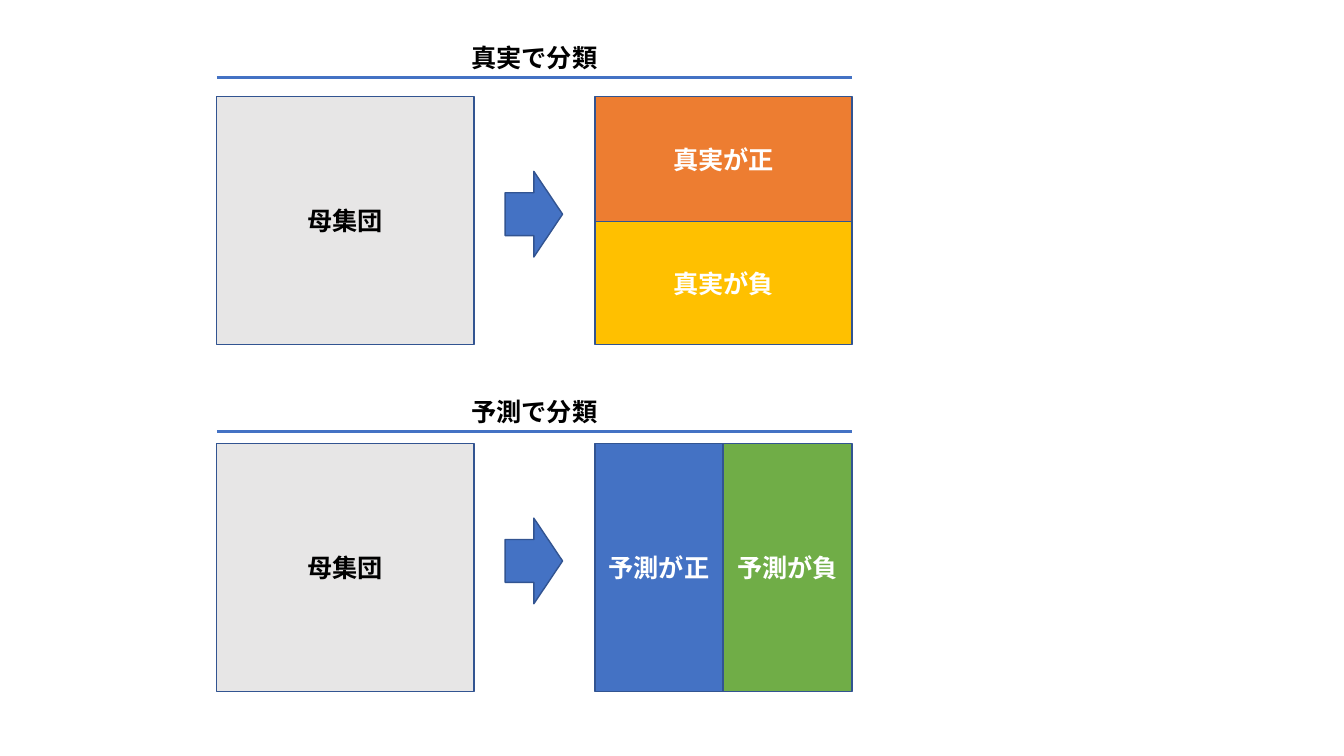
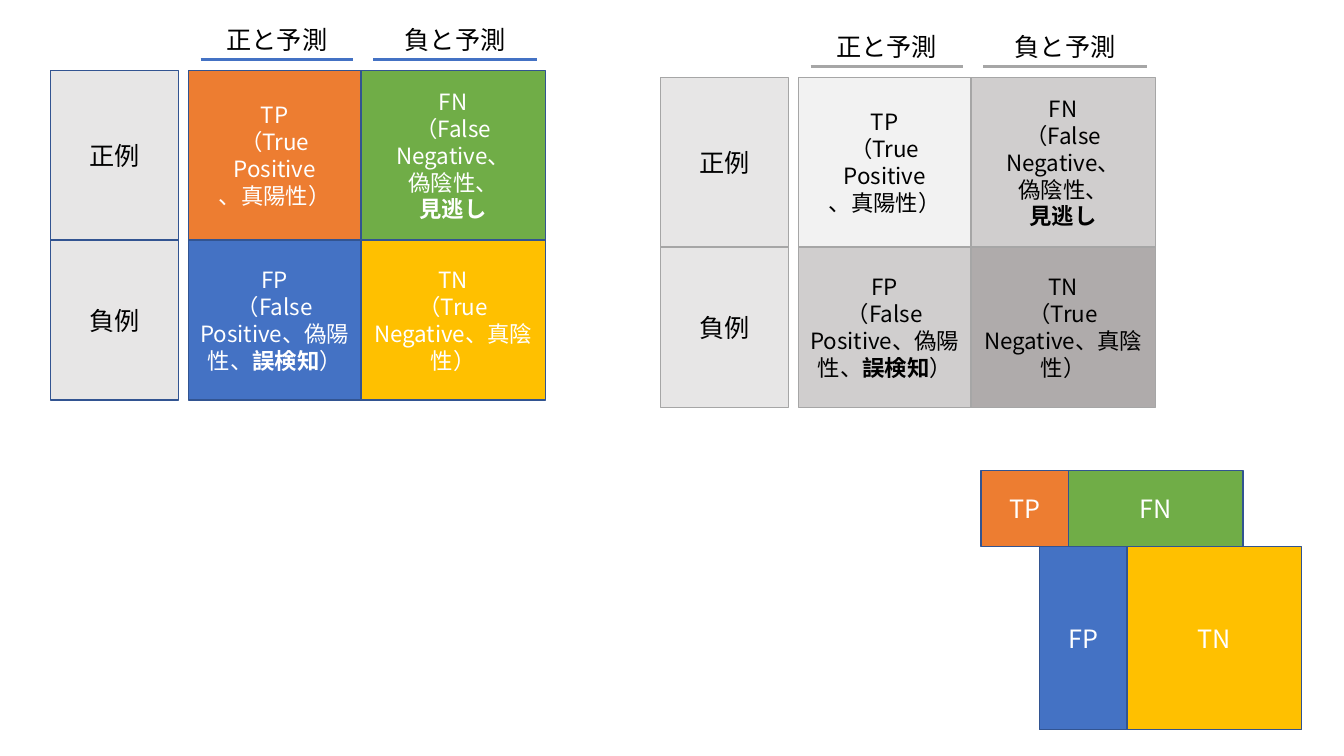
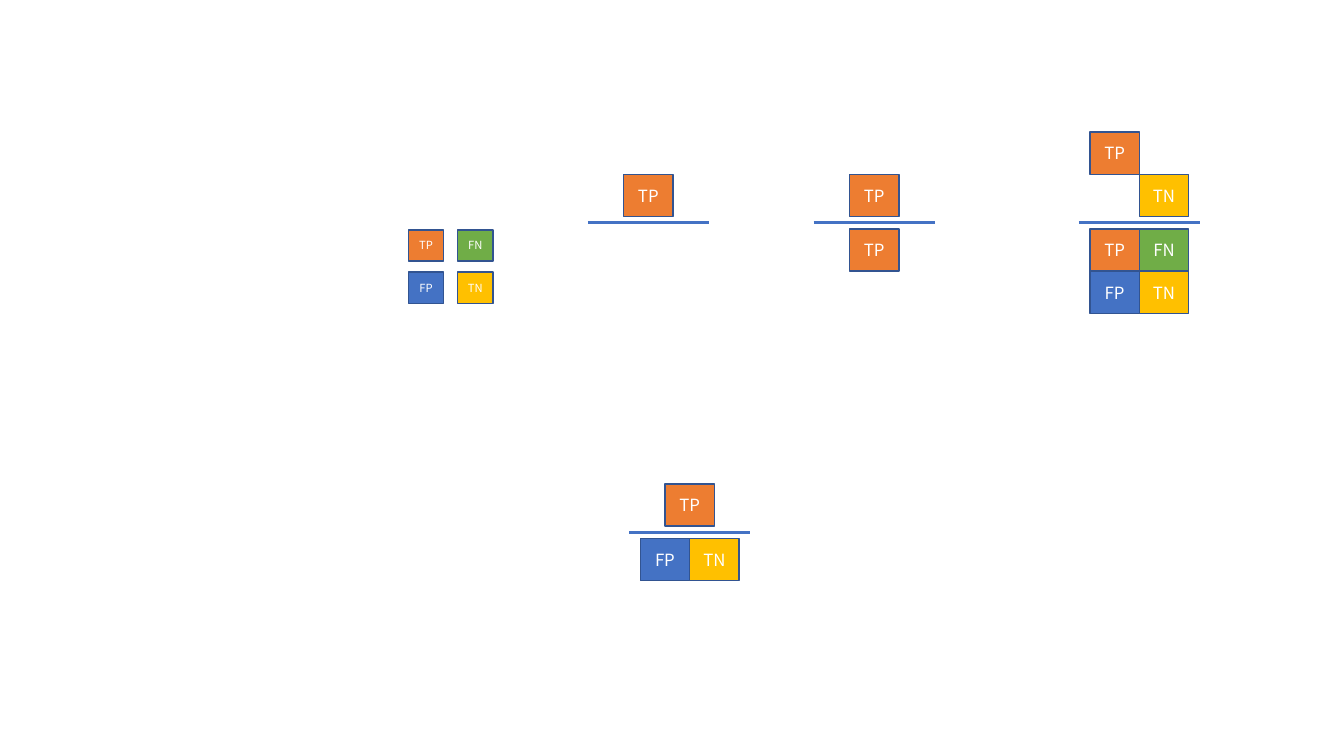
from pptx import Presentation
from pptx.dml.color import RGBColor
from pptx.enum import shapes, text
from pptx.oxml import ns, xmlchemy
from pptx.util import Inches, Pt

FONT = "Noto Sans CJK JP"
BLACK = RGBColor(0x00, 0x00, 0x00)
WHITE = RGBColor(0xFF, 0xFF, 0xFF)
ORANGE = RGBColor(0xED, 0x7D, 0x31)
YELLOW = RGBColor(0xFF, 0xC0, 0x00)
BLUE = RGBColor(0x44, 0x72, 0xC4)
GREEN = RGBColor(0x70, 0xAD, 0x47)
NAVY = RGBColor(0x32, 0x54, 0x91)
PALE = RGBColor(0xE7, 0xE6, 0xE6)
NEAR_WHITE = RGBColor(0xF2, 0xF2, 0xF2)
LIGHT_GRAY = RGBColor(0xD0, 0xCE, 0xCE)
DARK_GRAY = RGBColor(0xAF, 0xAB, 0xAB)
EDGE_GRAY = RGBColor(0xA6, 0xA6, 0xA6)

COLORED = {"TP": ORANGE, "FN": GREEN, "FP": BLUE, "TN": YELLOW}
GRAY = {"TP": NEAR_WHITE, "FN": LIGHT_GRAY, "FP": LIGHT_GRAY, "TN": DARK_GRAY}
OUTCOMES = [["TP", "FN"], ["FP", "TN"]]
MEANINGS = {
    "TP": "TP\n（True Positive\n、真陽性）",
    "FN": "FN\n（False Negative、\n偽陰性、\n*見逃し*",
    "FP": "FP\n（False Positive、偽陽性、*誤検知*）",
    "TN": "TN\n（True Negative、真陰性）",
}


def write(frame, words, size=18, color=BLACK, bold=False):
    """Fill a frame with centred paragraphs; *stars* enclose bold words."""
    frame.word_wrap = True
    for number, line in enumerate(words.split("\n")):
        para = frame.add_paragraph() if number else frame.paragraphs[0]
        para.alignment = text.PP_ALIGN.CENTER
        for part, piece in enumerate(line.split("*")):
            if not piece:
                continue
            span = para.add_run()
            span.text = piece
            font = span.font
            font.name, font.size = FONT, Pt(size)
            font.bold = bold or part % 2 == 1
            font.color.rgb = color
            east_asian = xmlchemy.OxmlElement("a:ea")
            east_asian.set("typeface", FONT)
            font._element.find(ns.qn("a:latin")).addnext(east_asian)


class Deck:
    def __init__(self):
        self.file = Presentation()
        self.file.slide_width = Inches(13.33)
        self.file.slide_height = Inches(7.5)
        self.page = None

    def new_page(self):
        self.page = self.file.slides.add_slide(self.file.slide_layouts[6])

    def box(self, left, top, width, height, fill, words="", edge=NAVY,
            kind=shapes.MSO_SHAPE.RECTANGLE, inset=0.1, **style):
        box = self.page.shapes.add_shape(
            kind, Inches(left), Inches(top), Inches(width), Inches(height))
        box.shadow.inherit = False
        box.fill.solid()
        box.fill.fore_color.rgb = fill
        box.line.color.rgb = edge
        box.line.width = Pt(1)
        frame = box.text_frame
        frame.vertical_anchor = text.MSO_ANCHOR.MIDDLE
        frame.margin_left = frame.margin_right = Inches(inset)
        if words:
            write(frame, words, **style)

    def rule(self, left, top, width, color=BLUE):
        line = self.page.shapes.add_connector(
            shapes.MSO_CONNECTOR.STRAIGHT, Inches(left), Inches(top),
            Inches(left + width), Inches(top))
        line.line.color.rgb = color
        line.line.width = Pt(2)
        line._element.spPr.append(xmlchemy.OxmlElement("a:effectLst"))

    def heading(self, left, top, width, words, color=BLUE, **style):
        """Centred label with a rule along its lower edge."""
        label = self.page.shapes.add_textbox(
            Inches(left), Inches(top), Inches(width), Inches(0.4))
        write(label.text_frame, words, **style)
        self.rule(left, top + 0.4, width, color)

    def split(self, top, title, title_top, parts):
        """Population, arrow and the classes it is split into."""
        self.heading(2.15, title_top, 6.3, title, bold=True)
        self.box(2.15, top, 2.55, 2.46, PALE, "母集団", bold=True)
        self.box(5.01, top + 0.74, 0.57, 0.85, BLUE,
                 kind=shapes.MSO_SHAPE.RIGHT_ARROW)
        for x, y, width, height, fill, words in parts:
            self.box(5.9 + x, top + y, width, height, fill, words,
                     color=WHITE, bold=True)

    def matrix(self, left, top, fills, edge, rule_color, color):
        """Confusion matrix with row labels and column headings."""
        columns = [(left + 1.37, 1.71), (left + 3.08, 1.83)]
        rows = [(top, 1.68), (top + 1.68, 1.59)]
        for (x, width), words in zip(columns, ["正と予測", "負と予測"]):
            self.heading(x + 0.12, top - 0.51, width - 0.2, words, rule_color)
        for (y, height), words, names in zip(rows, ["正例", "負例"], OUTCOMES):
            self.box(left, y, 1.27, height, PALE, words, edge)
            for (x, width), name in zip(columns, names):
                self.box(x, y, width, height, fills[name], MEANINGS[name],
                         edge, size=16, color=color)

    def chips(self, left, top, rows, width=0.49, height=0.42, size=12):
        """Grid of small outcome boxes; None leaves a place empty."""
        for row, names in enumerate(rows):
            for column, name in enumerate(names):
                if name:
                    self.box(left + 0.49 * column, top + 0.42 * row, width,
                             height, COLORED[name], name, inset=0,
                             size=size, color=WHITE)

    def fraction(self, left, top, above, below):
        self.rule(left, top, 1.2)
        for rows, start in [(above, top - 0.06 - 0.42 * len(above)),
                            (below, top + 0.06)]:
            if rows:
                self.chips(left + 0.6 - 0.49 * len(rows[0]) / 2, start, rows)


def main():
    deck = Deck()

    deck.new_page()
    deck.split(0.96, "真実で分類", 0.37, [
        (0, 0, 2.55, 1.25, ORANGE, "真実が正"),
        (0, 1.24, 2.55, 1.22, YELLOW, "真実が負")])
    deck.split(4.4, "予測で分類", 3.88, [
        (0, 0, 1.27, 2.46, BLUE, "予測が正"),
        (1.27, 0, 1.28, 2.46, GREEN, "予測が負")])

    deck.new_page()
    deck.matrix(0.5, 0.7, COLORED, NAVY, BLUE, WHITE)
    deck.matrix(6.55, 0.77, GRAY, EDGE_GRAY, EDGE_GRAY, BLACK)
    areas = [(9.73, 4.67, 0.75), (10.31, 5.42, 1.82)]
    for (left, top, height), names in zip(areas, OUTCOMES):
        for x, width, name in zip([left, left + 0.87], [0.87, 1.73], names):
            deck.box(x, top, width, height, COLORED[name], name, color=WHITE)

    deck.new_page()
    deck.chips(4.05, 2.28, OUTCOMES, width=0.35, height=0.31, size=8)
    deck.fraction(5.83, 2.21, [["TP"]], [])
    deck.fraction(8.07, 2.21, [["TP"]], [["TP"]])
    deck.fraction(10.7, 2.21, [["TP", None], [None, "TN"]], OUTCOMES)
    deck.fraction(6.24, 5.28, [["TP"]], [["FP", "TN"]])

    deck.file.save("out.pptx")


if __name__ == "__main__":
    main()
